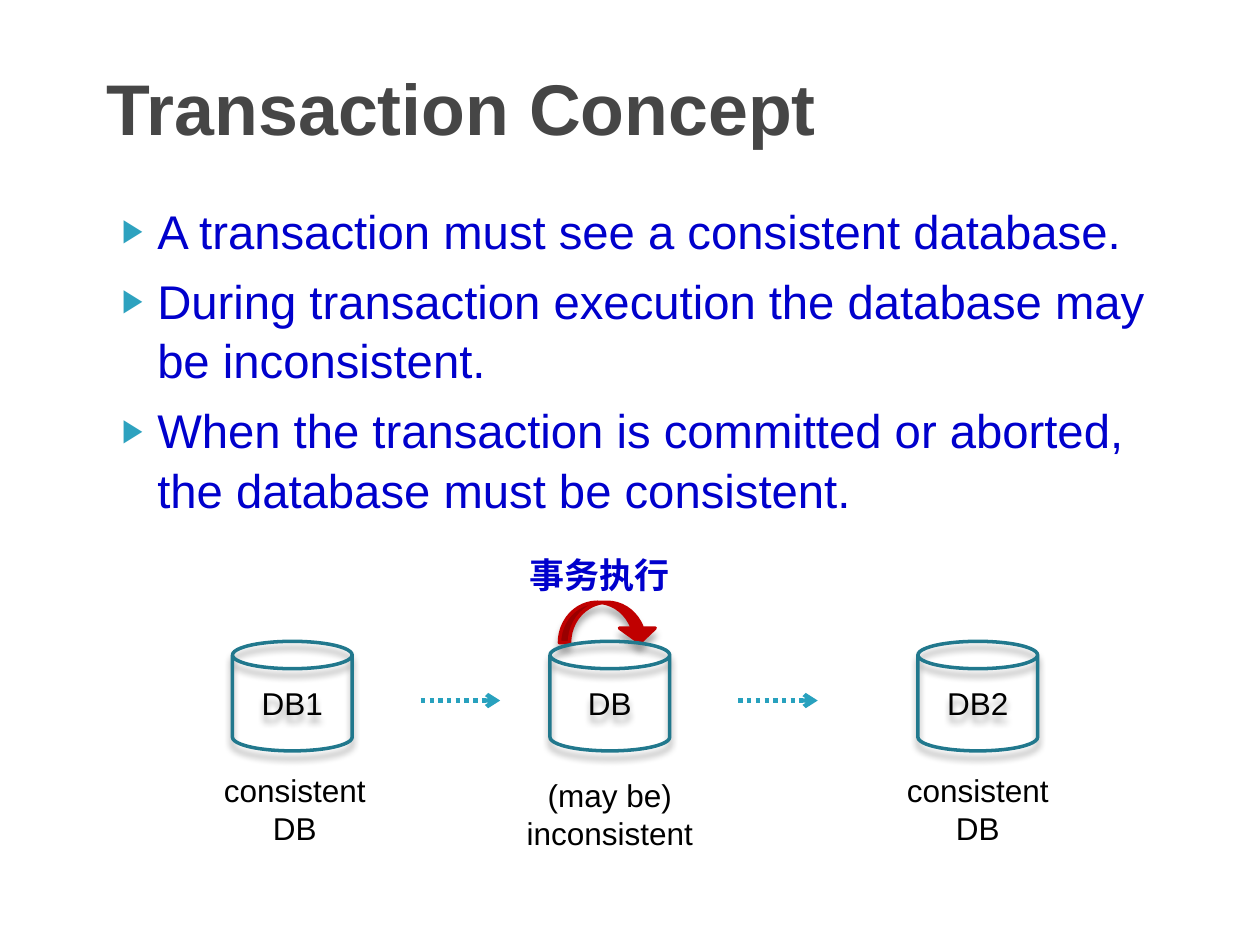
from lxml import etree
from pptx import Presentation
from pptx import util as u
from pptx.dml.color import RGBColor
from pptx.enum import dml, shapes, text
from pptx.oxml import ns

# Content
TITLE = "Transaction Concept"
BULLETS = [
    "A transaction must see a consistent database.",
    "During transaction execution the database may be inconsistent.",
    "When the transaction is committed or aborted, the database must be consistent.",
]
EXECUTION_LABEL = "事务执行"
# Each state: can label, caption lines, can centre, caption centre, caption top
STATES = [
    ("DB1", ["consistent DB"], 2.32, 2.34, 6.07),
    ("DB", ["(may be)", "inconsistent"], 4.84, 4.84, 6.11),
    ("DB2", ["consistent DB"], 7.76, 7.76, 6.07),
]

# Layout in inches
WIDTH, HEIGHT = 10, 7.5
MARGIN = 0.075 * WIDTH
CONTENT_WIDTH = WIDTH - 2 * MARGIN
CAN_TOP, CAN_WIDTH, CAN_HEIGHT = 5.09, 0.95, 0.87
CAPTION_WIDTH, CAPTION_HEIGHT = 1.59, 0.71
ARROW_OFFSET, ARROW_LENGTH, ARROW_Y = 1.02, 0.63, 5.56

THEME = {
    "font": "Arial",
    "title": ("464646", 41), "body": ("0000CC", 27),
    "label": ("000000", 18), "execution": ("0000CC", 20),
    "bullet": "2DA2BF", "can": "21788D", "loop": "C00000", "arrow": "28A1BE",
}

presentation = Presentation()
presentation.slide_width, presentation.slide_height = u.Inches(WIDTH), u.Inches(HEIGHT)
slide = presentation.slides.add_slide(presentation.slide_layouts[6])


def color(name):
    return RGBColor.from_string(THEME[name])


def add_xml(parent, tag, **attributes):
    return etree.SubElement(parent, ns.qn(tag), attributes)


def add_bullet(paragraph):
    properties = paragraph._p.get_or_add_pPr()
    properties.set("marL", str(u.Inches(0.4)))
    properties.set("indent", str(u.Inches(-0.28)))
    add_xml(add_xml(properties, "a:buClr"), "a:srgbClr", val=THEME["bullet"])
    add_xml(properties, "a:buSzPct", val="68000")
    add_xml(properties, "a:buFont", typeface=THEME["font"])
    add_xml(properties, "a:buChar", char="▶")


def write(frame, lines, style, align=text.PP_ALIGN.CENTER, bold=False, bullets=False):
    hex_color, size = THEME[style]
    frame.word_wrap = True
    for index, line in enumerate(lines):
        paragraph = frame.paragraphs[0] if index == 0 else frame.add_paragraph()
        paragraph.alignment = align
        if bullets:
            add_bullet(paragraph)
            paragraph.line_spacing = 1.05
            if index:
                paragraph.space_before = u.Pt(6)
        run = paragraph.add_run()
        run.text = line
        run.font.name, run.font.size, run.font.bold = THEME["font"], u.Pt(size), bold
        run.font.color.rgb = RGBColor.from_string(hex_color)


def add_text(left, top, width, height, lines, style, **options):
    box = slide.shapes.add_textbox(*map(u.Inches, (left, top, width, height)))
    write(box.text_frame, lines, style, **options)
    return box


def add_shadowed(kind, left, top, width, height, line):
    shape = slide.shapes.add_shape(kind, *map(u.Inches, (left, top, width, height)))
    shape.fill.background()
    shape.line.color.rgb, shape.line.width = color(line), u.Pt(2)
    shape.shadow.inherit = False
    effects = shape._element.spPr.find(ns.qn("a:effectLst"))
    shadow = add_xml(effects, "a:outerShdw", blurRad=str(u.Pt(4)), dist=str(u.Pt(4)),
                     dir="5400000", rotWithShape="0")
    add_xml(add_xml(shadow, "a:srgbClr", val="000000"), "a:alpha", val="33000")
    return shape


def add_arrow(left):
    arrow = slide.shapes.add_connector(
        shapes.MSO_CONNECTOR.STRAIGHT,
        *map(u.Inches, (left, ARROW_Y, left + ARROW_LENGTH, ARROW_Y)))
    arrow.line.color.rgb, arrow.line.width = color("arrow"), u.Pt(2.5)
    arrow.line.dash_style = dml.MSO_LINE.ROUND_DOT
    add_xml(arrow.line._get_or_add_ln(), "a:tailEnd", type="arrow")
    add_xml(arrow._element.spPr, "a:effectLst")


# Title and bullets
title = add_text(MARGIN, 0.43, CONTENT_WIDTH, 0.83, [TITLE], "title",
                 align=text.PP_ALIGN.LEFT, bold=True)
title.text_frame.vertical_anchor = text.MSO_ANCHOR.MIDDLE
add_text(MARGIN, 1.53, CONTENT_WIDTH, 2.54, BULLETS, "body",
         align=text.PP_ALIGN.LEFT, bullets=True)

# Loop over the middle database
loop = add_shadowed(shapes.MSO_SHAPE.CURVED_DOWN_ARROW, 4.44, 4.78, 0.78, 0.32, "loop")
loop.fill.solid()
loop.fill.fore_color.rgb = color("loop")
for index, value in enumerate((0.25, 0.886, 0.361)):
    loop.adjustments[index] = value
add_text(4.04, 4.34, 1.44, 0.44, [EXECUTION_LABEL], "execution", bold=True)

# Database states, with an arrow after each but the last
for index, (name, caption, center, caption_center, caption_top) in enumerate(STATES):
    can = add_shadowed(shapes.MSO_SHAPE.CAN, center - CAN_WIDTH / 2, CAN_TOP,
                       CAN_WIDTH, CAN_HEIGHT, "can")
    can.text_frame.vertical_anchor = text.MSO_ANCHOR.MIDDLE
    write(can.text_frame, [name], "label")
    add_text(caption_center - CAPTION_WIDTH / 2, caption_top,
             CAPTION_WIDTH, CAPTION_HEIGHT, caption, "label")
    if index < len(STATES) - 1:
        add_arrow(center + ARROW_OFFSET)

presentation.save("out.pptx")
